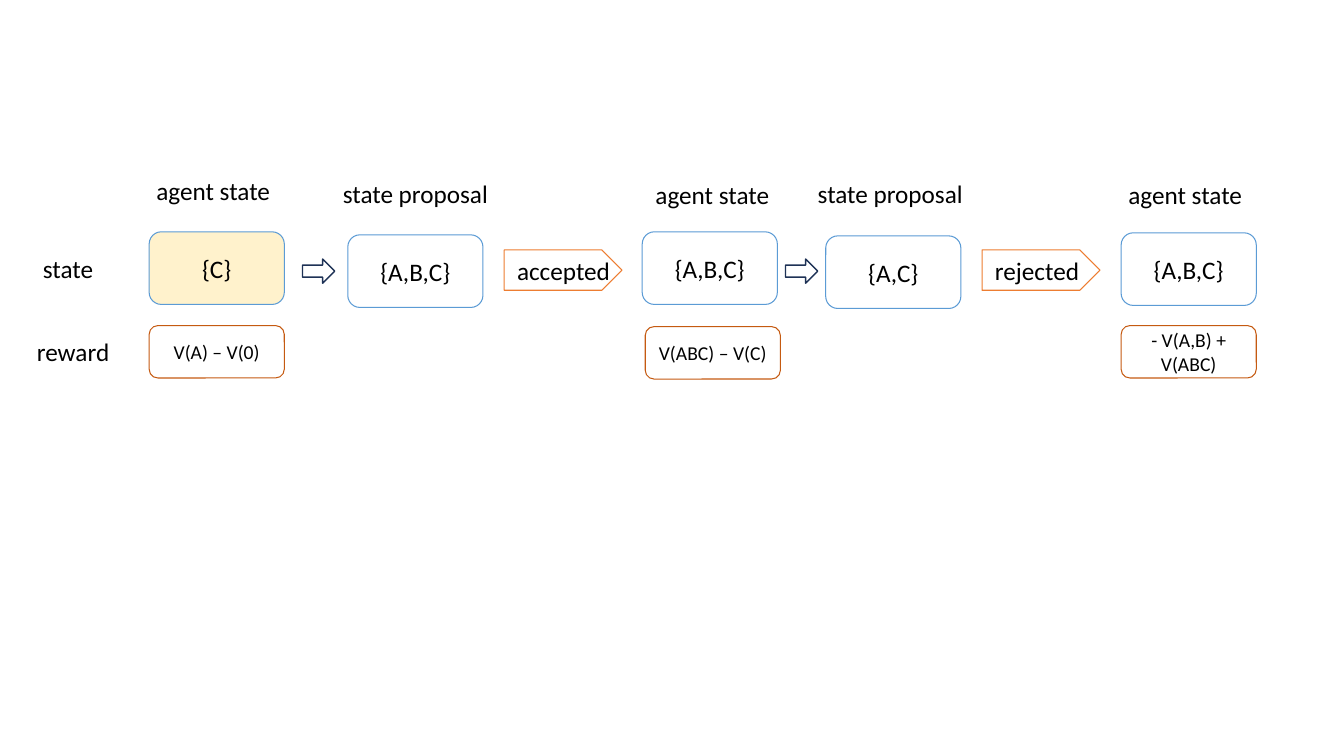
from pptx import Presentation
from pptx.dml.color import RGBColor
from pptx.enum.shapes import MSO_SHAPE
from pptx.enum.text import MSO_ANCHOR, MSO_AUTO_SIZE, PP_ALIGN
from pptx.util import Inches, Pt

ROUND = MSO_SHAPE.ROUNDED_RECTANGLE
ARROW = MSO_SHAPE.RIGHT_ARROW
PLATE = MSO_SHAPE.PENTAGON
MIDDLE = MSO_ANCHOR.MIDDLE
CENTER = PP_ALIGN.CENTER
GROW = MSO_AUTO_SIZE.SHAPE_TO_FIT_TEXT

COLORS = {
    "text": "000000",
    "start": "FFF2CC",
    "state": "5B9BD5",
    "reward": "C55A11",
    "verdict": "ED7D31",
    "arrow": "1E3256",
}


class Board:
    """Draws the parts of the state and reward diagram on one slide."""

    font = "Calibri"

    def __init__(self, slide):
        self.slide = slide

    def color(self, name):
        return RGBColor.from_string(COLORS[name])

    def letter(self, shape, text, size=18):
        frame = shape.text_frame
        frame.word_wrap = True
        para = frame.paragraphs[0]
        para.text = text
        para.font.name = self.font
        para.font.size = Pt(size)
        para.font.color.rgb = self.color("text")
        return frame, para

    def shape(self, kind, box, line=None, fill=None, width=0.75, shapes=None):
        shapes = shapes or self.slide.shapes
        item = shapes.add_shape(kind, *map(Inches, box))
        item.shadow.inherit = False
        if fill:
            item.fill.solid()
            item.fill.fore_color.rgb = self.color(fill)
        else:
            item.fill.background()
        if line:
            item.line.color.rgb = self.color(line)
            item.line.width = Pt(width)
        else:
            item.line.fill.background()
        return item

    def card(self, text, box, line=None, fill=None, size=18):
        item = self.shape(ROUND, box, line, fill)
        frame, para = self.letter(item, text, size)
        frame.vertical_anchor = MIDDLE
        para.alignment = CENTER

    def label(self, text, left, top, width):
        self.card(text, (left, top, width, 0.52))

    def state(self, text, left, top, fill=None):
        self.card(text, (left, top, 1.34, 0.72), "state", fill)

    def reward(self, text, left, top):
        self.card(text, (left, top, 1.34, 0.52), "reward", size=14)

    def arrow(self, left):
        self.shape(ARROW, (left, 2.57, 0.32, 0.24), "arrow", width=1)

    def verdict(self, text, left):
        shapes = self.slide.shapes.add_group_shape().shapes
        top, height = 2.48, 0.4
        self.shape(PLATE, (left, top, 1.17, height), "verdict", shapes=shapes)
        box = shapes.add_textbox(*map(Inches, (left + 0.03, top, 1.14, height)))
        frame, _ = self.letter(box, text)
        frame.auto_size = GROW


def main():
    deck = Presentation()
    deck.slide_width = Inches(13.33)
    deck.slide_height = Inches(7.5)
    board = Board(deck.slides.add_slide(deck.slide_layouts[6]))

    for text, left, top in (("state", -0.05, 2.4), ("reward", 0, 3.23)):
        board.label(text, left, top, 1.45)
    for left, top in ((1.41, 1.63), (6.36, 1.67), (11.05, 1.67)):
        board.label("agent state", left, top, 1.41)
    for left in (3.24, 7.95):
        board.label("state proposal", left, 1.66, 1.76)

    board.state("{C}", 1.48, 2.3, "start")
    for text, left, top in (
        ("{A,B,C}", 3.45, 2.33),
        ("{A,B,C}", 6.37, 2.3),
        ("{A,C}", 8.19, 2.34),
        ("{A,B,C}", 11.12, 2.31),
    ):
        board.state(text, left, top)

    for left in (3, 7.79):
        board.arrow(left)
    for text, left in (("accepted", 5), ("rejected", 9.74)):
        board.verdict(text, left)

    for text, left, top in (
        ("V(A) – V(0)", 1.48, 3.23),
        ("V(ABC) – V(C)", 6.4, 3.24),
        ("- V(A,B) + V(ABC)", 11.12, 3.23),
    ):
        board.reward(text, left, top)

    deck.save("out.pptx")


if __name__ == "__main__":
    main()
